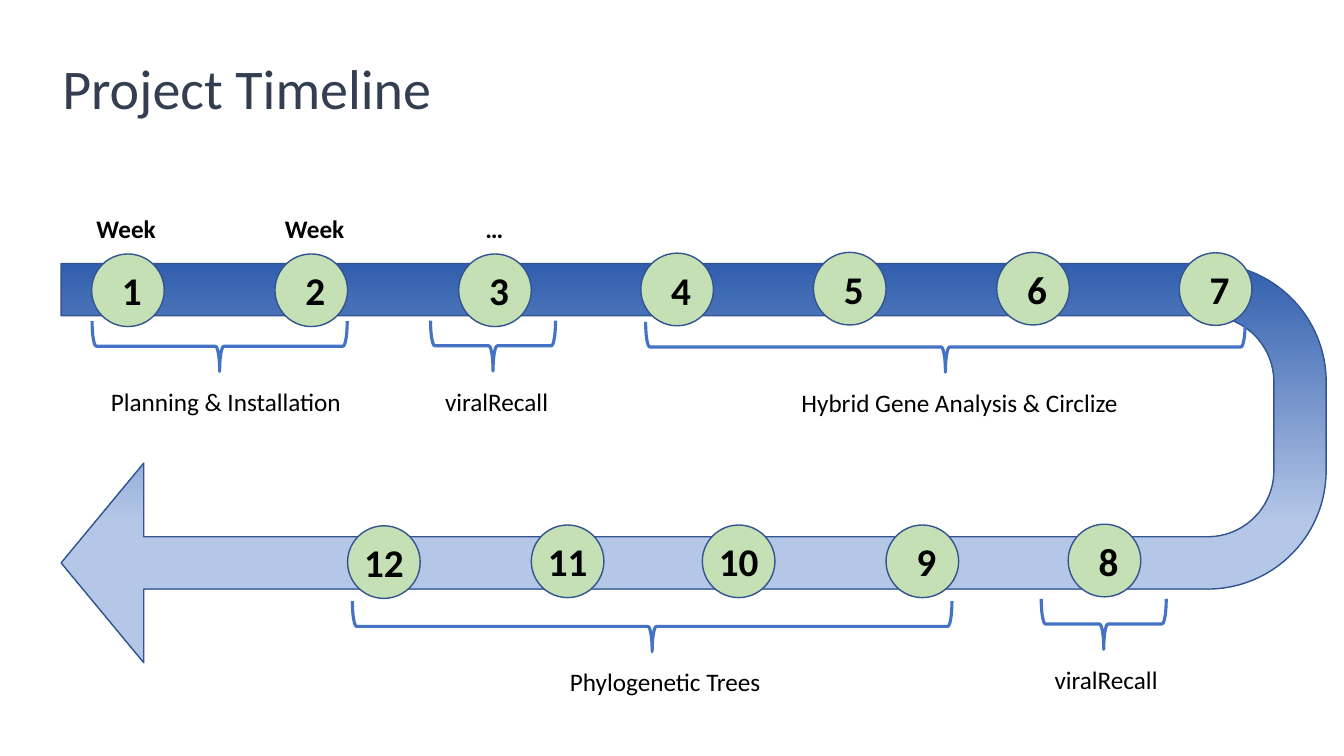
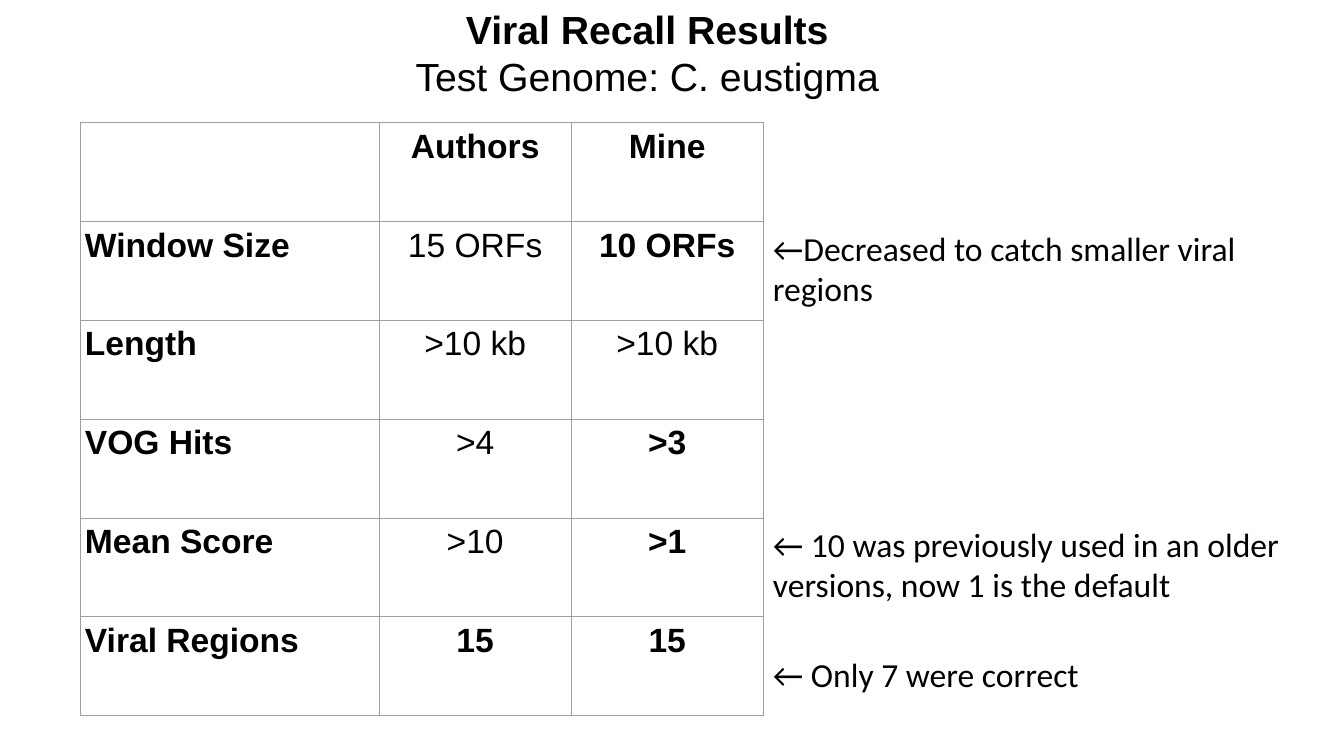
from lxml import etree
from pptx import Presentation
from pptx.dml.color import RGBColor
from pptx.enum.shapes import MSO_SHAPE as SHAPE
from pptx.enum.text import MSO_ANCHOR as ANCHOR, PP_ALIGN as ALIGN
from pptx.oxml import parse_xml
from pptx.oxml.ns import nsdecls
from pptx.util import Cm, Pt

BLACK = RGBColor(0x00, 0x00, 0x00)
SLATE = RGBColor(0x33, 0x3F, 0x50)
GREEN = RGBColor(0xC5, 0xE0, 0xB4)
OUTLINE = RGBColor(0x32, 0x54, 0x91)
BRACE_BLUE = RGBColor(0x44, 0x72, 0xC4)
ROAD_DARK = RGBColor(0x31, 0x5E, 0xAD)
ROAD_LIGHT = RGBColor(0xB4, 0xC7, 0xE7)
GRID = RGBColor(0x9E, 0x9E, 0x9E)
BODY, TABLE_FONT = "Calibri", "Arial"

DOT = 1.83
BRACE_H = 1.27


def style(p, size, bold=False, font=BODY, color=BLACK, align=ALIGN.LEFT):
    p.alignment = align
    for r in p.runs:
        r.font.size, r.font.bold, r.font.name = Pt(size), bold, font
        r.font.color.rgb = color


def add_text(s, box, text, size, **look):
    """Add a one-paragraph text box; box is left, top, width, height in cm."""
    tf = s.shapes.add_textbox(*map(Cm, box)).text_frame
    tf.word_wrap = True
    tf.text = text
    style(tf.paragraphs[0], size, **look)
    return tf


def add_outline(s, kind, box, color, width):
    sp = s.shapes.add_shape(kind, *map(Cm, box))
    sp.shadow.inherit = False
    sp.fill.background()
    sp.line.color.rgb = color
    sp.line.width = Pt(width)
    return sp


def add_turned(s, kind, box, color, width):
    """Add a shape turned by 90 degrees that fills the box once turned."""
    x, y, w, h = box
    unturned = (x + (w - h) / 2, y + (h - w) / 2, h, w)
    sp = add_outline(s, kind, unturned, color, width)
    sp.rotation = 90
    return sp


def add_road(s, box):
    road = add_turned(s, SHAPE.U_TURN_ARROW, box, OUTLINE, 1)
    for i, value in enumerate((0.131, 0.25, 0.207, 0.297, 1)):
        road.adjustments[i] = value
    road.fill.gradient()
    road.fill.gradient_angle = 0
    stops = zip(road.fill.gradient_stops, (ROAD_DARK, ROAD_LIGHT), (0, 0.65))
    for stop, color, position in stops:
        stop.color.rgb, stop.position = color, position


def add_week(s, x, y, number):
    dot = add_outline(s, SHAPE.OVAL, (x, y, DOT, DOT), OUTLINE, 1)
    dot.fill.solid()
    dot.fill.fore_color.rgb = GREEN
    tf = dot.text_frame
    tf.margin_left = Cm(0.2 if number < 10 else 0)
    tf.margin_right = tf.margin_top = tf.margin_bottom = 0
    tf.word_wrap = False
    tf.vertical_anchor = ANCHOR.MIDDLE
    tf.text = str(number)
    style(tf.paragraphs[0], 28, bold=True, align=ALIGN.CENTER)


def add_phase(s, x, y, w, label, label_shift):
    """Add a brace with its label below, the label's centre shifted right."""
    add_turned(s, SHAPE.RIGHT_BRACE, (x, y, w, BRACE_H), BRACE_BLUE, 2.25)
    label_w = max(w, 3.2)
    left = x + (w - label_w) / 2 + label_shift
    add_text(s, (left, y + 1.52, label_w, 1.02), label, 18, align=ALIGN.CENTER)


def timeline_slide(prs):
    s = prs.slides.add_slide(prs.slide_layouts[6])
    tf = add_text(s, (1.32, 1.3, 24.51, 1.88), "Project Timeline", 40, color=SLATE)
    tf.vertical_anchor = ANCHOR.BOTTOM
    tf.paragraphs[0].line_spacing = 0.9
    add_road(s, (1.54, 6.64, 31.88, 10.06))

    there = [(2.31, 6.4), (6.93, 6.4), (11.56, 6.4), (16.15, 6.38),
             (20.5, 6.36), (25.12, 6.36), (29.72, 6.37)]
    back = [(26.92, 13.21), (22.33, 13.23), (17.7, 13.23), (13.39, 13.23), (8.76, 13.25)]
    for number, (x, y) in enumerate(there + back, 1):
        add_week(s, x, y, number)
    for centre, text in ((3.18, "Week"), (7.93, "Week"), (12.46, "…")):
        add_text(s, (centre - 1.1, 5.26, 2.2, 1.02), text, 18, bold=True, align=ALIGN.CENTER)

    for phase in ((2.32, 8.09, 6.43, "Planning & Installation", 0.16),
                  (16.27, 8.11, 15.11, "Hybrid Gene Analysis & Circlize", 0.36),
                  (10.85, 8.08, 3.15, "viralRecall", 0.09),
                  (26.24, 15.09, 3.15, "viralRecall", 0.06),
                  (8.88, 15.15, 15.11, "Phylogenetic Trees", 0.33)):
        add_phase(s, *phase)


def set_borders(cell):
    tc_pr = cell._tc.get_or_add_tcPr()
    for i, side in enumerate(("lnL", "lnR", "lnT", "lnB")):
        ln = parse_xml(f'<a:{side} {nsdecls("a")} w="4826"><a:solidFill/></a:{side}>')
        etree.SubElement(ln[0], ln[0].tag.replace("solidFill", "srgbClr"), val=str(GRID))
        tc_pr.insert(i, ln)


def add_results(s, x, y, col_widths, row_h, rows):
    """Add the grid; a leading * in a value marks it bold."""
    frame = s.shapes.add_table(len(rows), len(col_widths), Cm(x), Cm(y),
                               Cm(sum(col_widths)), Cm(row_h * len(rows)))
    table = frame.table
    table.first_row = table.horz_banding = False
    for col, w in zip(table.columns, col_widths):
        col.width = Cm(w)
    for i, row in enumerate(rows):
        table.rows[i].height = Cm(row_h)
        for j, value in enumerate(row):
            cell = table.cell(i, j)
            cell.fill.background()
            set_borders(cell)
            cell.margin_left = cell.margin_right = Cm(0.13)
            cell.margin_top = cell.margin_bottom = Cm(0.13)
            cell.text = value.lstrip("*")
            style(cell.text_frame.paragraphs[0], 24, value.startswith("*"),
                  TABLE_FONT, align=ALIGN.CENTER if j else ALIGN.LEFT)


def results_slide(prs):
    s = prs.slides.add_slide(prs.slide_layouts[6])
    add_results(s, 2.01, 3.09, (7.54, 4.85, 4.83), 2.49, [
        ("", "*Authors", "*Mine"),
        ("*Window Size", "15 ORFs", "*10 ORFs"),
        ("*Length", ">10 kb", ">10 kb"),
        ("*VOG Hits", ">4", "*>3"),
        ("*Mean Score", ">10", "*>1"),
        ("*Viral Regions", "*15", "*15"),
    ])
    tf = add_text(s, (8.41, 0, 15.8, 2.6), "Viral Recall Results", 28,
                  bold=True, font=TABLE_FONT, align=ALIGN.CENTER)
    p = tf.add_paragraph()
    p.text = "Test Genome: C. eustigma"
    style(p, 28, font=TABLE_FONT, align=ALIGN.CENTER)
    for y, h, note in (
            (5.61, 2.31, "←Decreased to catch smaller viral regions"),
            (13.08, 2.31, "← 10 was previously used in an older versions, now 1 is the default"),
            (16.36, 1.27, "← Only 7 were correct")):
        add_text(s, (19.23, y, 13.56, h), note, 24)


def main():
    prs = Presentation()
    prs.slide_width, prs.slide_height = Cm(33.87), Cm(19.05)
    timeline_slide(prs)
    results_slide(prs)
    prs.save("out.pptx")


if __name__ == "__main__":
    main()
